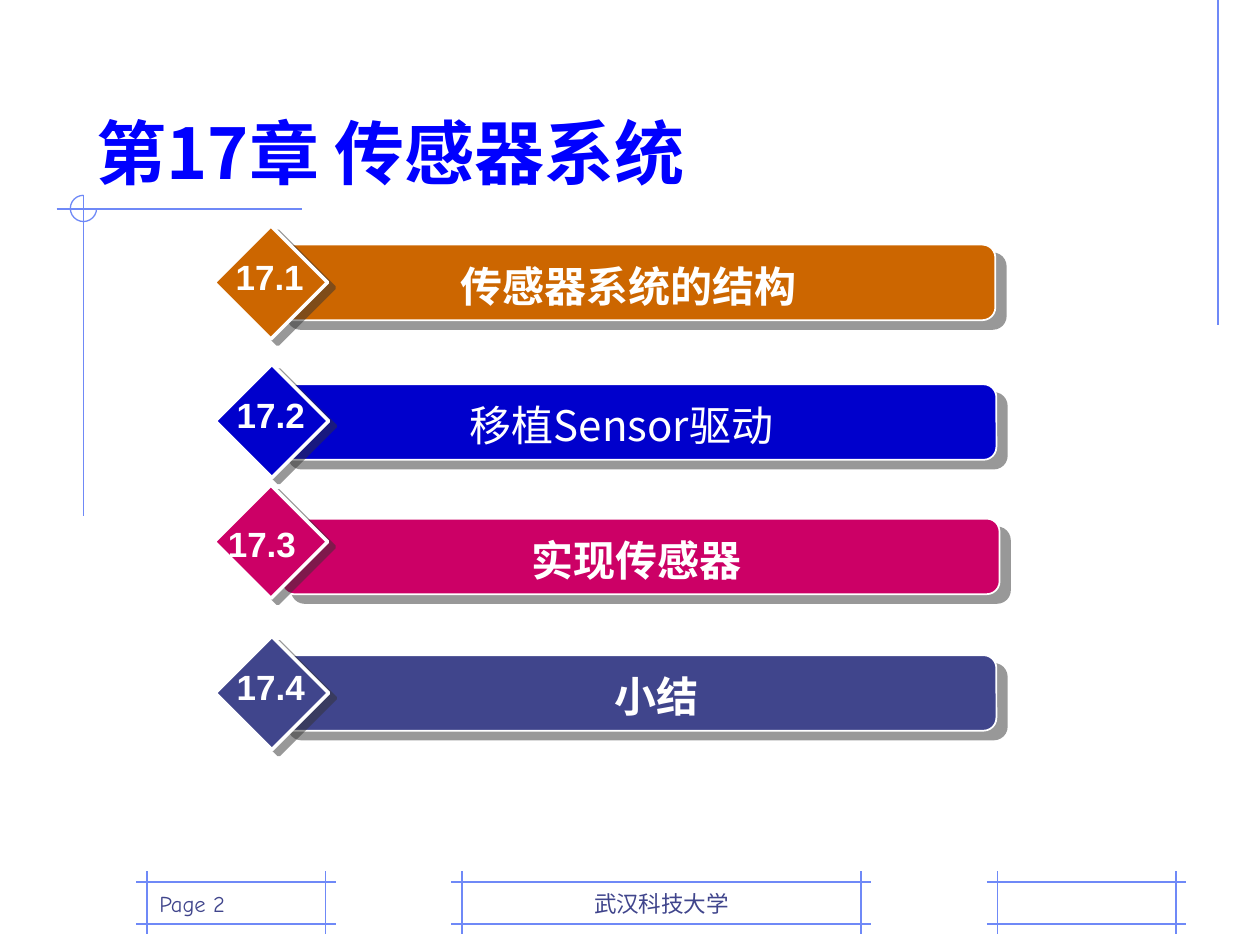
from dataclasses import dataclass
from typing import NamedTuple

from lxml.etree import SubElement
from pptx import Presentation
from pptx.dml.color import RGBColor
from pptx.enum.shapes import MSO_CONNECTOR, MSO_SHAPE as Preset
from pptx.enum.text import MSO_ANCHOR as Anchor, MSO_AUTO_SIZE as AutoSize, PP_ALIGN as Align
from pptx.oxml.ns import qn
from pptx.util import Inches, Pt

COLUMNS, ROWS = 120, 90
CELL = Inches(10) / COLUMNS


@dataclass(frozen=True)
class Theme:
    rule: str = "6F89F7"
    footer: str = "40458C"
    title: str = "0000FF"
    light: str = "FFFFFF"
    shadow: str = "333333"
    title_size: float = 40
    caption_size: float = 24
    number_size: float = 20
    footer_size: float = 12.9
    rule_width: float = 0.75
    heading_font: str = "Noto Sans CJK JP"
    number_font: str = "Arial"
    footer_font: str = "Comic Neue"


class Box(NamedTuple):
    left: float
    top: float
    width: float
    height: float

    def emu(self) -> tuple:
        return tuple(cells(value) for value in self)


@dataclass(frozen=True)
class Section:
    number: str
    caption: str
    color: str
    bar: tuple
    badge: tuple
    caption_left: float
    caption_width: float = 54
    number_shift: tuple = (0.84, 2.2)
    bold: bool = True


@dataclass(frozen=True)
class FooterFrame:
    left: float
    width: float
    text: str
    align: Align


THEME = Theme()
FOOTER_TOP, FOOTER_HEIGHT, OVERHANG = 84, 4, 1
SECTIONS = (
    Section("17.1", " 传感器系统的结构", "CC6600", (26.4, 23.3), (20.4, 21.5), 32.4),
    Section("17.2", "移植Sensor驱动", "0000CC", (26.5, 36.6), (20.5, 34.7), 32.2, bold=False),
    Section("17.3", "实现传感器", "CC0066", (26.8, 49.4), (20.4, 46.2), 33.6,
            number_shift=(0.1, 3)),
    Section("17.4", "小结", "40458C", (26.5, 62.4), (20.5, 60.6), 33.1, caption_width=58.8),
)
FOOTERS = (
    FooterFrame(14, 17, "Page 2", Align.LEFT),
    FooterFrame(44, 38, "武汉科技大学", Align.CENTER),
    FooterFrame(95, 17, "", Align.LEFT),
)
CORNER_RULES = ((116, 0, 116, 31), (5.4, 19.9, 28.8, 19.9), (7.95, 18.6, 7.95, 49.1))
CORNER_ARC = Box(6.7, 18.6, 2.5, 2.5)


def cells(count: float) -> int:
    return round(count * CELL)


def rgb(value: str) -> RGBColor:
    return RGBColor.from_string(value)


def write(frame, text: str, font: str, size: float, color: str,
          bold: bool = False, align: Align = Align.LEFT):
    paragraph = frame.paragraphs[0]
    paragraph.text = text
    paragraph.alignment = align
    style = paragraph.font
    style.size, style.bold, style.name = Pt(size), bold, font
    style.color.rgb = rgb(color)
    defaults = paragraph._p.pPr.find(qn("a:defRPr"))
    SubElement(defaults, qn("a:ea"), typeface=font)
    return paragraph


def add_rule(slide, left: float, top: float, right: float, bottom: float) -> None:
    rule = slide.shapes.add_connector(
        MSO_CONNECTOR.STRAIGHT, *(cells(v) for v in (left, top, right, bottom)))
    rule.line.color.rgb = rgb(THEME.rule)
    rule.line.width = Pt(THEME.rule_width)
    SubElement(rule._element.spPr, qn("a:effectLst"))


def add_arc(slide, box: Box) -> None:
    arc = slide.shapes.add_shape(Preset.ARC, *box.emu())
    arc.adjustments[0], arc.adjustments[1] = 0, 162
    arc.shadow.inherit = False
    arc.fill.background()
    arc.line.color.rgb = rgb(THEME.rule)
    arc.line.width = Pt(THEME.rule_width)


def add_raised(slide, preset: Preset, box: Box, color: str, border: float,
               distance: float, angle: int):
    shape = slide.shapes.add_shape(preset, *box.emu())
    shape.fill.solid()
    shape.fill.fore_color.rgb = rgb(color)
    shape.line.color.rgb = rgb(THEME.light)
    shape.line.width = Pt(border)
    shape.shadow.inherit = False
    effects = shape._element.spPr.find(qn("a:effectLst"))
    shadow = SubElement(effects, qn("a:outerShdw"), blurRad="0", dist=str(Pt(distance)),
                        dir=str(angle * 60000), algn="ctr", rotWithShape="0")
    tint = SubElement(shadow, qn("a:srgbClr"), val=THEME.shadow)
    SubElement(tint, qn("a:alpha"), val="50000")
    return shape


def add_label(slide, box: Box, wrap: bool = True):
    label = slide.shapes.add_textbox(*box.emu())
    label.text_frame.word_wrap = wrap
    return label


def add_footer(slide, footer: FooterFrame) -> None:
    right, bottom = footer.left + footer.width, FOOTER_TOP + FOOTER_HEIGHT
    for row in (FOOTER_TOP, bottom):
        add_rule(slide, footer.left - OVERHANG, row, right + OVERHANG, row)
    for column in (footer.left, right):
        add_rule(slide, column, FOOTER_TOP - OVERHANG, column, bottom + OVERHANG)
    if footer.text:
        label = add_label(slide, Box(footer.left, FOOTER_TOP, footer.width, FOOTER_HEIGHT))
        label.text_frame.vertical_anchor = Anchor.BOTTOM
        line = write(label.text_frame, footer.text, THEME.footer_font, THEME.footer_size,
                     THEME.footer, align=footer.align)
        line.line_spacing = 0.9


def add_section(slide, section: Section) -> None:
    bar = add_raised(slide, Preset.ROUNDED_RECTANGLE, Box(*section.bar, 68.4, 7.2),
                     section.color, 1, 7.8, 40)
    bar.adjustments[0] = 0.17
    add_raised(slide, Preset.DIAMOND, Box(*section.badge, 10.8, 10.8),
               section.color, 2, 5, 37)
    caption = add_label(slide, Box(section.caption_left, section.bar[1] + 0.9,
                                   section.caption_width, 6))
    caption.fill.solid()
    caption.fill.fore_color.rgb = rgb(section.color)
    write(caption.text_frame, section.caption, THEME.heading_font, THEME.caption_size,
          THEME.light, section.bold, Align.CENTER)
    left, top = (start + shift for start, shift in zip(section.badge, section.number_shift))
    number = add_label(slide, Box(left, top, 8.9, 5.3), wrap=False)
    write(number.text_frame, section.number, THEME.number_font, THEME.number_size,
          THEME.light, True, Align.CENTER)


def add_title(slide, text: str) -> None:
    title = slide.shapes.title
    title.left, title.top, title.width, title.height = Box(8, 4, 102, 15).emu()
    title.text_frame.vertical_anchor = Anchor.BOTTOM
    title.text_frame.auto_size = AutoSize.NONE
    write(title.text_frame, text, THEME.heading_font, THEME.title_size, THEME.title, True)


def main() -> None:
    deck = Presentation()
    deck.slide_width, deck.slide_height = cells(COLUMNS), cells(ROWS)
    slide = deck.slides.add_slide(deck.slide_layouts.get_by_name("Title Only"))
    for footer in FOOTERS:
        add_footer(slide, footer)
    for rule in CORNER_RULES:
        add_rule(slide, *rule)
    add_arc(slide, CORNER_ARC)
    add_title(slide, "第17章 传感器系统")
    for section in SECTIONS:
        add_section(slide, section)
    deck.save("out.pptx")


if __name__ == "__main__":
    main()
